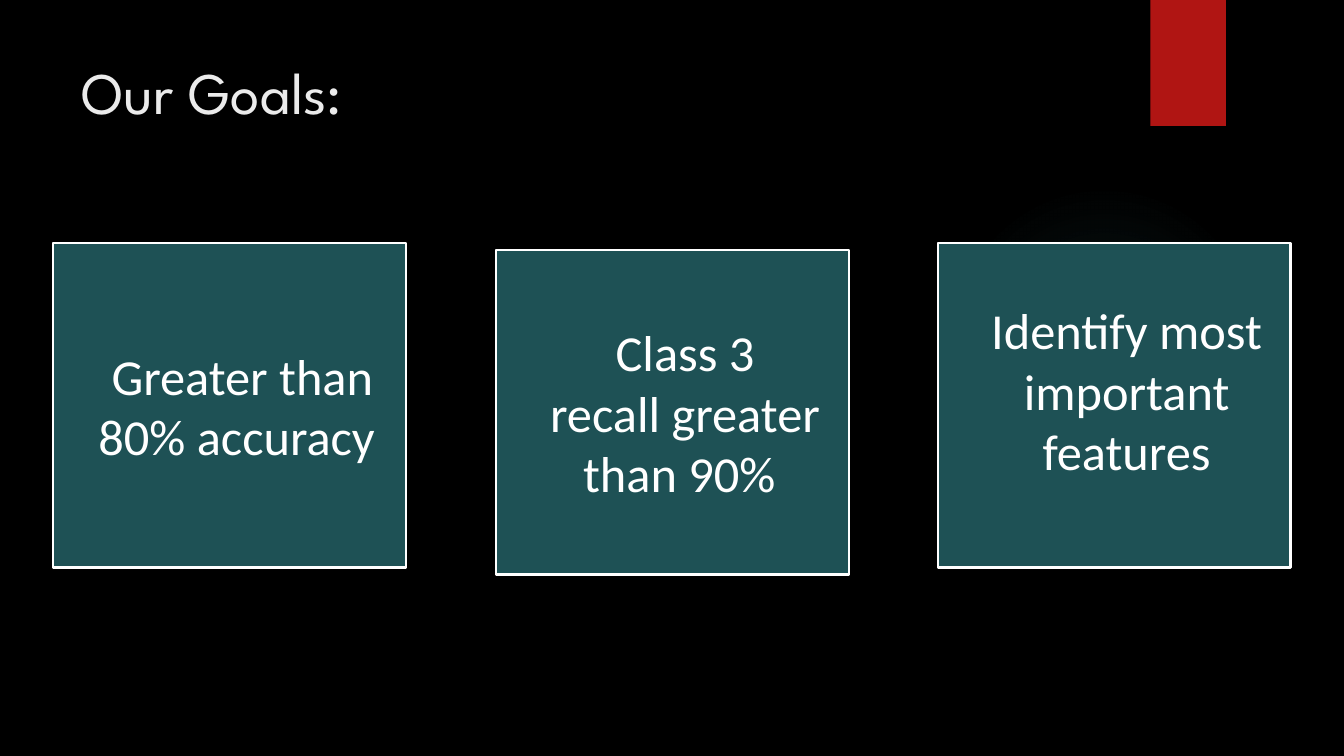
from dataclasses import dataclass

from lxml import etree
from pptx import Presentation
from pptx import util as u
from pptx.dml.color import RGBColor
from pptx.enum import shapes, text
from pptx.oxml import ns
from pptx.shapes.autoshape import Shape
from pptx.slide import Slide
from pptx.text.text import _Paragraph as Paragraph

WHITE = "FFFFFF"
CARD_WIDTH, CARD_HEIGHT = 3.5, 3.22


@dataclass
class Goal:
    left: float
    top: float
    lines: list[str]
    bottom_inset: float = 0.05


GOALS = [
    Goal(0.53, 2.41, ["Greater than 80% accuracy "]),
    Goal(4.92, 2.48, ["Class 3", "recall greater than 90% "]),
    Goal(9.3, 2.41, ["Identify most important features"], 0.35),
]


def color(value: str) -> RGBColor:
    return RGBColor.from_string(value)


def add_run(paragraph: Paragraph, words: str, size: float, font: str, ink: str) -> None:
    run = paragraph.add_run()
    run.text = words
    run.font.size = u.Pt(size)
    run.font.name = font
    run.font.color.rgb = color(ink)


def add_box(slide: Slide, kind: shapes.MSO_SHAPE, left: float, top: float,
            width: float, height: float, fill: str) -> Shape:
    shape = slide.shapes.add_shape(kind, u.Inches(left), u.Inches(top),
                                   u.Inches(width), u.Inches(height))
    shape.shadow.inherit = False
    shape.fill.solid()
    shape.fill.fore_color.rgb = color(fill)
    shape.line.fill.background()
    return shape


def add_glow(slide: Slide) -> None:
    tint = "50B9C1"
    glow = add_box(slide, shapes.MSO_SHAPE.OVAL, 9.41, 1.83, 3.08, 3.08, tint)
    properties = glow.element.spPr
    solid = properties.find(ns.qn("a:solidFill"))
    gradient = etree.Element(ns.qn("a:gradFill"))
    stops = etree.SubElement(gradient, ns.qn("a:gsLst"))
    for position, opacity in ((0, 7), (36, 6), (69, 0)):
        stop = etree.SubElement(stops, ns.qn("a:gs"), pos=str(position * 1000))
        tone = etree.SubElement(stop, ns.qn("a:srgbClr"), val=tint)
        etree.SubElement(tone, ns.qn("a:alpha"), val=str(opacity * 1000))
    circle = etree.SubElement(gradient, ns.qn("a:path"), attrib={"path": "circle"})
    etree.SubElement(circle, ns.qn("a:fillToRect"),
                     attrib={side: "50000" for side in "ltrb"})
    properties.replace(solid, gradient)


def format_title(slide: Slide) -> None:
    title = slide.shapes.title
    title.left, title.top = u.Inches(0.71), u.Inches(0.5)
    title.width, title.height = u.Inches(10.29), u.Inches(1.53)
    frame = title.text_frame
    frame.vertical_anchor = text.MSO_ANCHOR.TOP
    frame.auto_size = text.MSO_AUTO_SIZE.NONE
    paragraph = frame.paragraphs[0]
    paragraph.alignment = text.PP_ALIGN.LEFT
    add_run(paragraph, "Our Goals:", 42, "League Spartan", "EBEBEB")


def add_goal(slide: Slide, goal: Goal) -> None:
    card = add_box(slide, shapes.MSO_SHAPE.RECTANGLE, goal.left, goal.top,
                   CARD_WIDTH, CARD_HEIGHT, "1E5155")
    card.line.color.rgb = color(WHITE)
    card.line.width = u.Pt(1.5)
    frame = card.text_frame
    frame.word_wrap = True
    frame.vertical_anchor = text.MSO_ANCHOR.MIDDLE
    frame.margin_bottom = u.Inches(goal.bottom_inset)
    for index, line in enumerate(goal.lines):
        paragraph = frame.add_paragraph() if index else frame.paragraphs[0]
        paragraph.alignment = text.PP_ALIGN.CENTER
        indent = paragraph._p.get_or_add_pPr()
        indent.set("marL", str(u.Inches(0.25)))
        indent.set("indent", "0")
        add_run(paragraph, line, 36, "Calibri", WHITE)


def main() -> None:
    presentation = Presentation()
    presentation.slide_width = u.Inches(13.33)
    presentation.slide_height = u.Inches(7.5)
    slide = presentation.slides.add_slide(presentation.slide_layouts[5])
    slide.background.fill.solid()
    slide.background.fill.fore_color.rgb = color("000000")
    add_glow(slide)
    add_box(slide, shapes.MSO_SHAPE.RECTANGLE, 11.41, 0, 0.75, 1.25, "B01513")
    format_title(slide)
    for goal in GOALS:
        add_goal(slide, goal)
    presentation.save("out.pptx")


if __name__ == "__main__":
    main()
